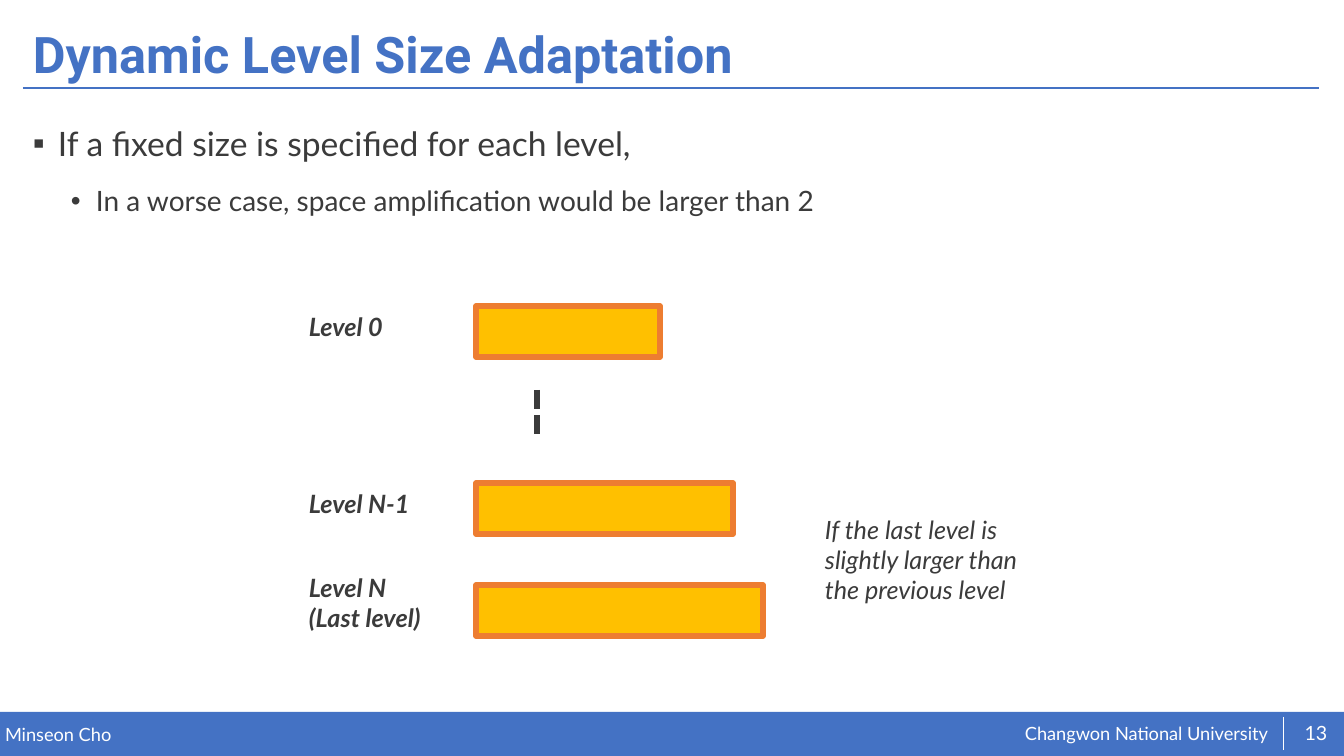
from lxml import etree
from pptx import Presentation
from pptx.dml.color import RGBColor
from pptx.enum.dml import MSO_LINE
from pptx.enum.shapes import MSO_CONNECTOR, MSO_SHAPE
from pptx.enum.text import MSO_ANCHOR, PP_ALIGN
from pptx.oxml.ns import qn
from pptx.util import Emu, Pt

STRAIGHT = MSO_CONNECTOR.STRAIGHT
RECTANGLE = MSO_SHAPE.RECTANGLE
SQUARE_DOT = MSO_LINE.SQUARE_DOT
TOP, MIDDLE = MSO_ANCHOR.TOP, MSO_ANCHOR.MIDDLE
LEFT, CENTER = PP_ALIGN.LEFT, PP_ALIGN.CENTER

BLUE = RGBColor(0x44, 0x72, 0xC4)
WHITE = RGBColor(0xFF, 0xFF, 0xFF)
INK = RGBColor(0x3B, 0x3B, 0x3B)
AMBER = RGBColor(0xFF, 0xC0, 0x00)
ORANGE = RGBColor(0xED, 0x7D, 0x31)

SLIDE_W, SLIDE_H = 1344, 756
EMU_PER_PX = 12192000 / SLIDE_W


def px(length):
    return Emu(round(length * EMU_PER_PX))


def style(paragraph, size, color, font="Lato", bold=False, italic=False):
    for run in paragraph.runs:
        run.font.name = font
        run.font.size = Pt(size)
        run.font.color.rgb = color
        run.font.bold = bold
        run.font.italic = italic


def add_text(slide, box, text, size, color=INK, anchor=TOP, align=LEFT,
             inset=True, **font):
    frame = slide.shapes.add_textbox(*map(px, box)).text_frame
    frame.word_wrap = True
    frame.vertical_anchor = anchor
    if not inset:
        frame.margin_left = frame.margin_right = 0
        frame.margin_top = frame.margin_bottom = 0
    paragraph = frame.paragraphs[0]
    paragraph.text = text
    paragraph.alignment = align
    style(paragraph, size, color, **font)
    return frame


def add_line(slide, start, end, color, width):
    line = slide.shapes.add_connector(STRAIGHT, *map(px, start + end))
    line.line.color.rgb = color
    line.line.width = Pt(width)
    etree.SubElement(line._element.spPr, qn("a:effectLst"))
    return line


def add_bar(slide, box, fill, outline=None):
    bar = slide.shapes.add_shape(RECTANGLE, *map(px, box))
    bar.shadow.inherit = False
    bar.fill.solid()
    bar.fill.fore_color.rgb = fill
    if outline is None:
        bar.line.fill.background()
    else:
        bar.line.color.rgb = outline
        bar.line.width = Pt(4)


def set_bullet(paragraph, mark, indent, hanging):
    properties = paragraph._p.get_or_add_pPr()
    properties.set("marL", str(px(indent)))
    properties.set("indent", str(-px(hanging)))
    etree.SubElement(properties, qn("a:buFont"), typeface="Arial")
    etree.SubElement(properties, qn("a:buChar"), char=mark)


def add_header(slide, left, top, width, height):
    title = add_text(slide, (left, top, width, height),
                     "Dynamic Level Size Adaptation", 36, BLUE, MIDDLE,
                     font="Roboto", bold=True)
    title.paragraphs[0].line_spacing = 0.9
    rule_y = top + height - 8
    add_line(slide, (left, rule_y), (left + width, rule_y), BLUE, 2)


def add_points(slide, left, top, width, height):
    # (text, bullet, indent, size, space before)
    points = [
        ("If a fixed size is specified for each level,", "▪", 25, 24, 0),
        ("In a worse case, space amplification would be larger than 2",
         "•", 63, 20, 5),
    ]
    frame = add_text(slide, (left, top, width, height), "", 24)
    for level, (text, mark, indent, size, before) in enumerate(points):
        point = frame.add_paragraph() if level else frame.paragraphs[0]
        point.text = text
        point.level = level
        point.line_spacing = 1.4
        point.space_before = Pt(before)
        set_bullet(point, mark, indent, 25)
        style(point, size, INK)


def add_levels(slide, left, top, width, height):
    bar_left, bar_height = left + 177, 51
    # (label, label offset, label height, bar offset, bar width)
    levels = [
        ("Level 0", 0, 40, 0, 184),
        ("Level N-1", 177, 40, 177, 257),
        ("Level N\v(Last level)", 261, 72, 279, 287),
    ]
    for label, label_y, label_height, bar_y, bar_width in levels:
        add_text(slide, (left, top + label_y, 136, label_height), label, 18,
                 bold=True, italic=True)
        add_bar(slide, (bar_left, top + bar_y, bar_width, bar_height),
                AMBER, ORANGE)

    # Dots standing for the levels in between
    dots_x = bar_left + 61
    dots = add_line(slide, (dots_x, top + 84), (dots_x, top + 134), INK, 4.5)
    dots.line.dash_style = SQUARE_DOT

    # Remark beside the last two levels
    note_width = 223
    add_text(slide, (left + width - note_width, top + 203, note_width,
                     height - 203),
             "If the last level is slightly larger than the previous level",
             18, italic=True)


def add_footer(slide, left, top, width, height):
    right = left + width
    add_bar(slide, (left, top, width, height), BLUE)
    add_text(slide, (left + 5, top + 11, 660, 22), "Minseon Cho", 13, WHITE,
             inset=False)
    add_text(slide, (right - 319, top + 10, 256, 23),
             "Changwon National University", 13, WHITE, inset=False)
    add_line(slide, (right - 61, top + 5), (right - 61, top + 38), WHITE, 0.5)
    add_text(slide, (right - 52, top + 1, 48, 40), "13", 14, WHITE, MIDDLE,
             CENTER, inset=False)


def main():
    deck = Presentation()
    deck.slide_width, deck.slide_height = px(SLIDE_W), px(SLIDE_H)
    slide = deck.slides.add_slide(deck.slide_layouts[6])
    add_footer(slide, 0, 712, SLIDE_W, 44)
    add_header(slide, 23, 18, 1296, 78)
    add_points(slide, 23, 102, 1296, 567)
    add_levels(slide, 299, 306, 739, 333)
    deck.save("out.pptx")


if __name__ == "__main__":
    main()
